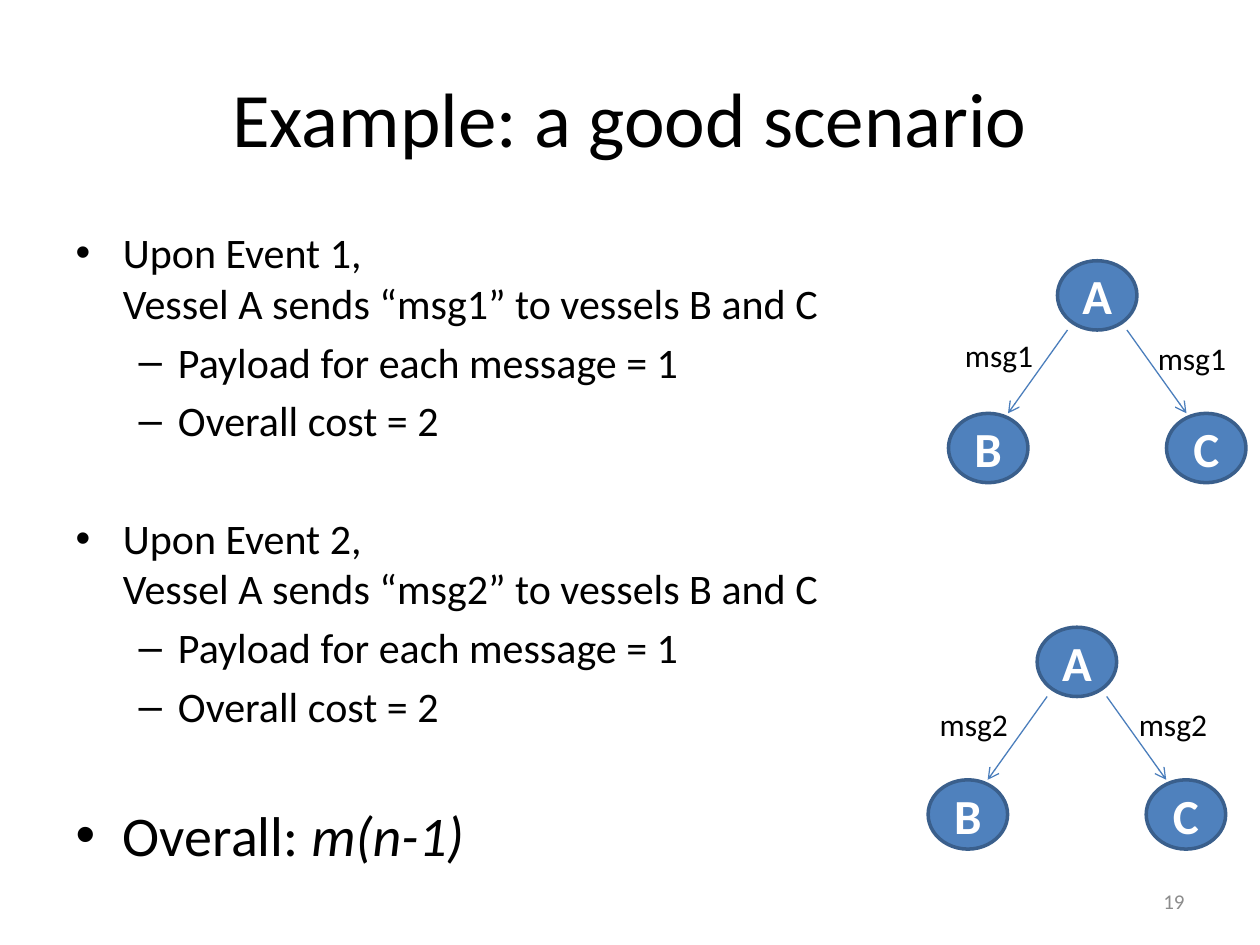
from pptx import Presentation
from pptx import util as u
from pptx.dml.color import RGBColor
from pptx.enum import shapes, text
from pptx.oxml.ns import qn
from lxml import etree

Pt = u.Pt
BLACK = RGBColor(0, 0, 0)
WHITE = RGBColor(255, 255, 255)
GRAY = RGBColor(0x8C, 0x8C, 0x8C)
BLUE = RGBColor(0x4F, 0x81, 0xBD)
RIM = RGBColor(0x3A, 0x5F, 0x8C)
LINK = RGBColor(0x4B, 0x7E, 0xBC)
LEFT, CENTER, RIGHT = (text.PP_ALIGN.LEFT, text.PP_ALIGN.CENTER,
                       text.PP_ALIGN.RIGHT)

TITLE = "Example: a good scenario"
STEPS = ["Payload for each message = 1", "Overall cost = 2"]
EVENTS = [(1, None), (2, 38.5)]  # number, space before
TOTAL = [("Overall: ", False), ("m(n-1)", True)]
PAGE = "19"

# message, left and top of node A, corners of the left and right labels
TREES = [
    ("msg1", (604.3, 149), (544.3, 188.6), (654.5, 190.1)),
    ("msg2", (592.7, 358.4), (529.9, 399.6), (643.7, 399.6)),
]
NODE_W, NODE_H = 45.4, 39.6
STEP_X, STEP_Y = 62.3, 87.2
FOOT = 17  # arrow start, sideways from the centre of A
TIP = 51   # arrow end, sideways from the centre of A


def write(para, runs, size=24, color=BLACK, bold=None, align=None,
          level=0, before=None):
    """Fill a paragraph with (text, italic) runs or one plain string."""
    para.level = level
    if align is not None:
        para.alignment = align
    if before is not None:
        para.space_before = Pt(before)
    for words, slant in [(runs, None)] if isinstance(runs, str) else runs:
        for i, line in enumerate(words.split("\n")):
            if i:
                para.add_line_break()
            run = para.add_run()
            run.text = line
            font = run.font
            font.name, font.size, font.bold = "Calibri", Pt(size), bold
            font.italic = slant
            font.color.rgb = color


def place(shape, *box):
    """Move and size a shape in points."""
    shape.left, shape.top, shape.width, shape.height = map(Pt, box)


def label(slide, box, words, middle=False, **form):
    """Add a one-line text box."""
    shape = slide.shapes.add_textbox(*map(Pt, box))
    frame = shape.text_frame
    frame.word_wrap = middle
    if middle:
        frame.vertical_anchor = text.MSO_ANCHOR.MIDDLE
    else:
        frame.auto_size = text.MSO_AUTO_SIZE.SHAPE_TO_FIT_TEXT
    write(frame.paragraphs[0], words, **form)


def node(slide, x, y, name):
    """Add a vessel."""
    oval = slide.shapes.add_shape(shapes.MSO_SHAPE.OVAL,
                                  *map(Pt, (x, y, NODE_W, NODE_H)))
    oval.shadow.inherit = False
    oval.fill.solid()
    oval.fill.fore_color.rgb = BLUE
    oval.line.color.rgb = RIM
    oval.line.width = Pt(2)
    frame = oval.text_frame
    frame.vertical_anchor = text.MSO_ANCHOR.MIDDLE
    write(frame.paragraphs[0], name, size=28, color=WHITE, bold=True,
          align=CENTER)


def arrow(slide, *ends):
    """Add a thin line with an open head at its end."""
    link = slide.shapes.add_connector(shapes.MSO_CONNECTOR.STRAIGHT,
                                      *map(Pt, ends))
    link.line.color.rgb = LINK
    link.line.width = Pt(0.75)
    props = link._element.spPr
    etree.SubElement(props.find(qn("a:ln")), qn("a:tailEnd"), type="arrow")
    etree.SubElement(props, qn("a:effectLst"))


def tree(slide, msg, top, *spots):
    """Draw vessel A sending a message to vessels B and C."""
    x, y = top
    mid = x + NODE_W / 2
    node(slide, x, y, "A")
    for side, name, spot in zip((-1, 1), "BC", spots):
        node(slide, x + side * STEP_X, y + STEP_Y, name)
        arrow(slide, mid + side * FOOT, y + NODE_H,
              mid + side * TIP, y + STEP_Y)
        label(slide, (*spot, 54, 28.8), msg, size=18, align=LEFT)


def fill_body(frame):
    """Write the bulleted list."""
    items = []
    for num, gap in EVENTS:
        head = (f"Upon Event {num},\n"
                f"Vessel A sends “msg{num}” to vessels B and C")
        items.append((head, dict(before=gap)))
        items += [(step, dict(level=1)) for step in STEPS]
    items.append((TOTAL, dict(size=32, before=40)))
    frame.auto_size = text.MSO_AUTO_SIZE.NONE
    for i, (words, form) in enumerate(items):
        para = frame.add_paragraph() if i else frame.paragraphs[0]
        write(para, words, **form)


def main():
    """Build and save the slide."""
    deck = Presentation()
    deck.slide_width, deck.slide_height = Pt(720), Pt(540)
    slide = deck.slides.add_slide(deck.slide_layouts[1])
    title, body = slide.placeholders
    place(title, 36, 21.6, 648, 90)
    write(title.text_frame.paragraphs[0], TITLE, size=44, align=CENTER)
    place(body, 36, 126, 648, 356.4)
    fill_body(body.text_frame)
    label(slide, (516.2, 500.4, 167.8, 28.8), PAGE, middle=True,
          size=12, color=GRAY, align=RIGHT)
    for spec in TREES:
        tree(slide, *spec)
    deck.save("out.pptx")


main()
